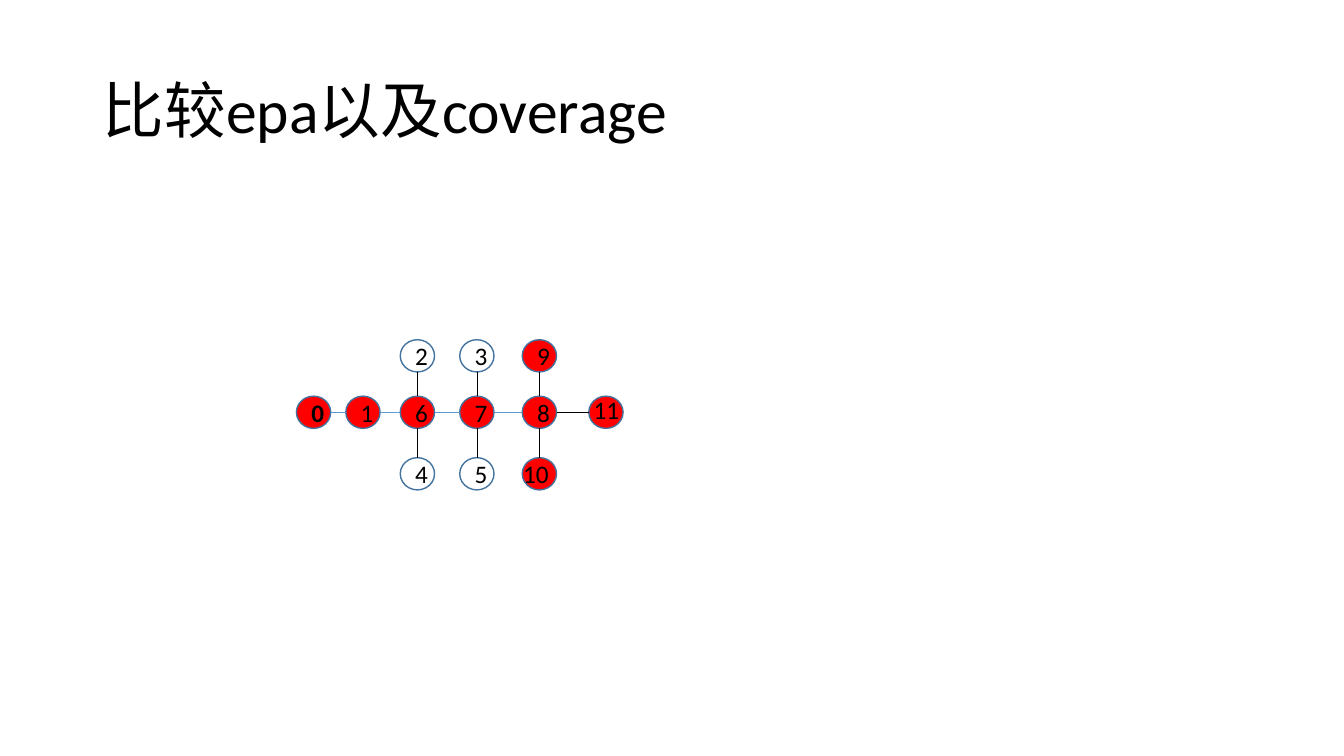
from lxml.etree import SubElement
from pptx import Presentation
from pptx.dml.color import RGBColor
from pptx.enum.shapes import MSO_CONNECTOR, MSO_SHAPE
from pptx.enum.text import MSO_ANCHOR, MSO_AUTO_SIZE, PP_ALIGN
from pptx.oxml.ns import qn
from pptx.util import Inches, Pt

HUES = {"red": "FF0000", "white": "FFFFFF", "rim": "43739E",
        "blue": "5B9BD5", "black": "000000"}
WIDE, HIGH = 0.34, 0.32
COLS = [2.94, 3.43, 3.97, 4.56, 5.18, 5.84]
TOP, MID, LOW = 3.37, 3.93, 4.54

# label, column, row, fill
NODES = [("0", 0, MID, "red"), ("1", 1, MID, "red"), ("6", 2, MID, "red"),
         ("7", 3, MID, "red"), ("8", 4, MID, "red"), ("", 5, MID, "red"),
         ("2", 2, TOP, "white"), ("3", 3, TOP, "white"), ("9", 4, TOP, "red"),
         ("4", 2, LOW, "white"), ("5", 3, LOW, "white"), ("", 4, LOW, "red")]


def hue(name):
    return RGBColor.from_string(HUES[name])


def add_run(para, text, size, bold=None):
    run = para.add_run()
    run.text = text
    run.font.name = "Calibri"
    run.font.size = Pt(size)
    run.font.bold = bold
    run.font.color.rgb = hue("black")


def add_title(slide, text):
    title = slide.shapes.title
    title.left, title.top = Inches(0.92), Inches(0.4)
    title.width, title.height = Inches(11.5), Inches(1.45)
    title.text_frame.vertical_anchor = MSO_ANCHOR.MIDDLE
    para = title.text_frame.paragraphs[0]
    para.alignment = PP_ALIGN.LEFT
    para.line_spacing = 0.9
    add_run(para, text, 44)


def add_node(slide, label, col, row, fill):
    node = slide.shapes.add_shape(MSO_SHAPE.OVAL, Inches(COLS[col]), Inches(row),
                                  Inches(WIDE), Inches(HIGH))
    node.shadow.inherit = False
    node.fill.solid()
    node.fill.fore_color.rgb = hue(fill)
    node.line.color.rgb = hue("rim")
    node.line.width = Pt(1)
    if label:
        para = node.text_frame.paragraphs[0]
        para.alignment = PP_ALIGN.CENTER
        add_run(para, label, 18, True if label == "0" else None)


def add_link(slide, x1, y1, x2, y2, color):
    link = slide.shapes.add_connector(MSO_CONNECTOR.STRAIGHT, Inches(x1), Inches(y1),
                                      Inches(x2), Inches(y2))
    link.line.color.rgb = hue(color)
    link.line.width = Pt(0.5)
    SubElement(link._element.spPr, qn("a:effectLst"))


def add_label(slide, text, left, top, width):
    box = slide.shapes.add_textbox(Inches(left), Inches(top), Inches(width), Inches(0.4))
    box.text_frame.word_wrap = True
    box.text_frame.auto_size = MSO_AUTO_SIZE.SHAPE_TO_FIT_TEXT
    add_run(box.text_frame.paragraphs[0], text, 18)


def main():
    deck = Presentation()
    deck.slide_width, deck.slide_height = Inches(13.33), Inches(7.5)
    slide = deck.slides.add_slide(deck.slide_layouts[5])
    add_title(slide, "比较epa以及coverage")

    for node in NODES:
        add_node(slide, *node)

    axis = MID + HIGH / 2
    for left, right in zip(COLS, COLS[1:]):
        color = "black" if right == COLS[-1] else "blue"
        add_link(slide, left + WIDE, axis, right, axis, color)
    for left in COLS[2:5]:
        center = left + WIDE / 2
        for upper, lower in ((TOP, MID), (MID, LOW)):
            add_link(slide, center, upper + HIGH, center, lower, "black")

    add_label(slide, "10", 5.09, 4.5, 0.53)
    add_label(slide, "11", 5.79, 3.86, 0.51)
    deck.save("out.pptx")


if __name__ == "__main__":
    main()
